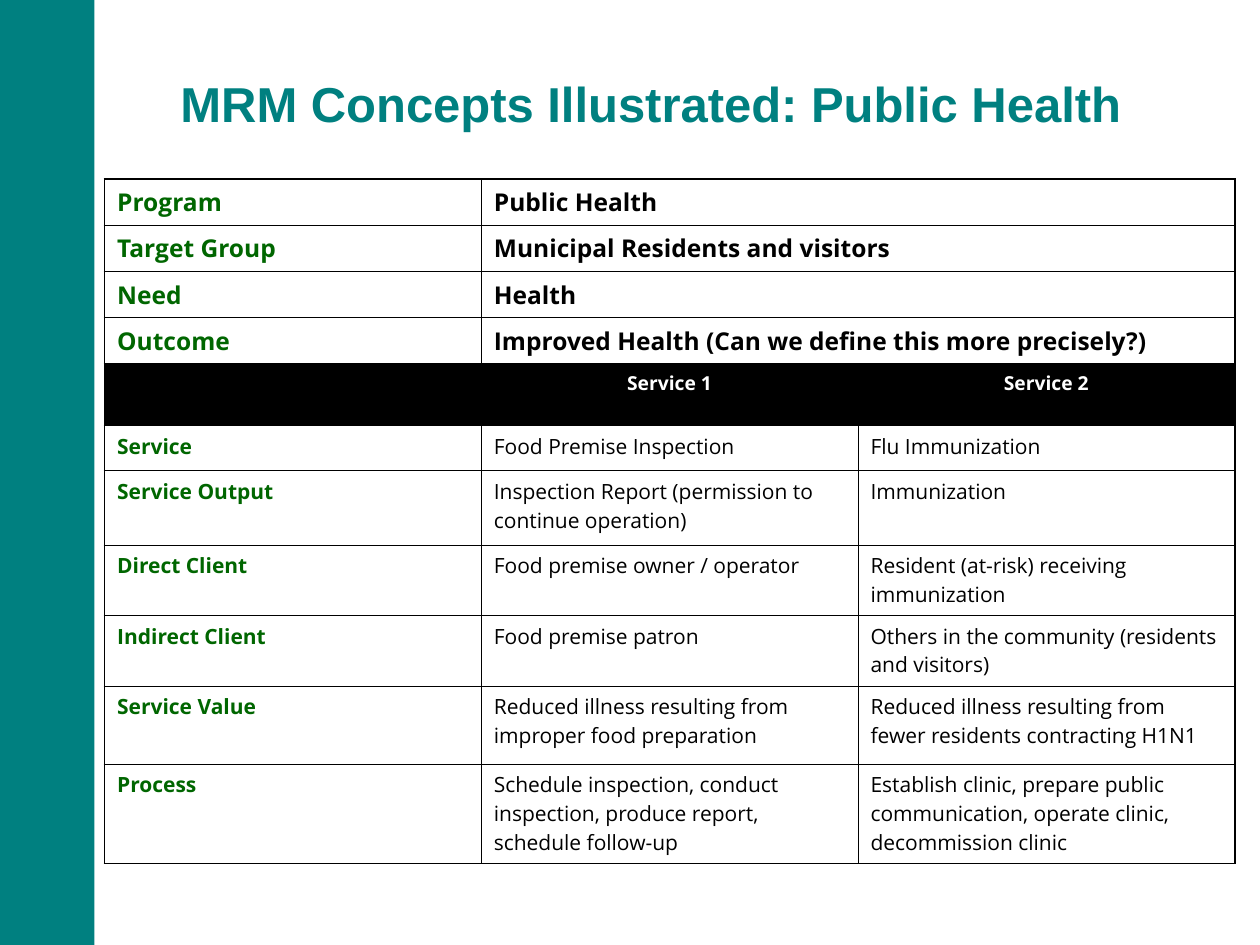
import pptx
import pptx.dml.color
import pptx.enum.shapes
import pptx.enum.text
import pptx.oxml
import pptx.oxml.ns
import pptx.util

Inches = pptx.util.Inches
Pt = pptx.util.Pt
RGBColor = pptx.dml.color.RGBColor
PP_ALIGN = pptx.enum.text.PP_ALIGN

TEAL = RGBColor(0x00, 0x80, 0x80)
GREEN = RGBColor(0x00, 0x66, 0x00)
BLACK = RGBColor(0x00, 0x00, 0x00)
WHITE = RGBColor(0xFF, 0xFF, 0xFF)

THIN, THICK = Pt(0.45), Pt(1.08)
HEADER_ROW = 4
ROW_HEIGHTS = [0.36, 0.37, 0.36, 0.34, 0.49, 0.36, 0.59, 0.56, 0.56, 0.62, 0.79]
ROWS = [
    ["Program", "Public Health"],
    ["Target Group", "Municipal Residents and visitors"],
    ["Need", "Health"],
    ["Outcome", "Improved Health (Can we define this more precisely?)"],
    ["", "Service 1", "Service 2"],
    ["Service", "Food Premise Inspection", "Flu Immunization"],
    ["Service Output", "Inspection Report (permission to continue operation)",
     "Immunization"],
    ["Direct Client", "Food premise owner / operator",
     "Resident (at-risk) receiving immunization"],
    ["Indirect Client", "Food premise patron",
     "Others in the community (residents and visitors)"],
    ["Service Value", "Reduced illness resulting from improper food preparation",
     "Reduced illness resulting from fewer residents contracting H1N1"],
    ["Process",
     "Schedule inspection, conduct inspection, produce report, schedule follow-up",
     "Establish clinic, prepare public communication, operate clinic, "
     "decommission clinic"],
]


def format_run(r, font, size, color, bold):
    r.font.name = font
    r.font.size = Pt(size)
    r.font.color.rgb = color
    r.font.bold = bold


def add_side_band(s, left, top, width, height):
    sp = s.shapes.add_shape(pptx.enum.shapes.MSO_SHAPE.RECTANGLE,
                            left, top, width, height)
    sp.shadow.inherit = False
    sp.fill.solid()
    sp.fill.fore_color.rgb = TEAL
    sp.line.fill.background()


def add_title(s, left, top, width, height):
    sp = s.shapes.title
    sp.left, sp.top, sp.width, sp.height = left, top, width, height
    sp.fill.solid()
    sp.fill.fore_color.rgb = WHITE
    tf = sp.text_frame
    tf.text = "MRM Concepts Illustrated: Public Health"
    tf.word_wrap = True
    tf.auto_size = pptx.enum.text.MSO_AUTO_SIZE.NONE
    tf.vertical_anchor = pptx.enum.text.MSO_ANCHOR.MIDDLE
    p = tf.paragraphs[0]
    p.alignment = PP_ALIGN.CENTER
    p.line_spacing = 0.9
    p.space_before = Pt(7)
    format_run(p.runs[0], "Arial", 28, TEAL, True)


def set_borders(cell, widths):
    tcPr = cell._tc.get_or_add_tcPr()
    for i, (side, width) in enumerate(widths.items()):
        ln = pptx.oxml.parse_xml(
            f'<a:{side} {pptx.oxml.ns.nsdecls("a")} w="{width}"><a:solidFill>'
            f'<a:srgbClr val="{BLACK}"/></a:solidFill></a:{side}>')
        tcPr.insert(i, ln)


def format_cell(cell, row, col):
    is_summary, is_header = row < HEADER_ROW, row == HEADER_ROW
    if is_header:
        cell.fill.solid()
        cell.fill.fore_color.rgb = BLACK
        size, spacing, color = 11, 3.4, WHITE
    else:
        cell.fill.background()
        size, spacing = (14, 4.4) if is_summary else (12, 3.7)
        color = GREEN if col == 0 else BLACK
    p = cell.text_frame.paragraphs[0]
    p.alignment = PP_ALIGN.CENTER if is_header else PP_ALIGN.LEFT
    p.space_before = p.space_after = Pt(spacing)
    for r in p.runs:
        format_run(r, "Open Sans", size, color, is_summary or is_header or col == 0)


def add_concept_table(s, left, top, width, height):
    last_row, last_col = len(ROWS) - 1, 2
    table = s.shapes.add_table(len(ROWS), 3, left, top, width, height).table
    table.first_row = table.horz_banding = False
    for column in table.columns:
        column.width = width // 3
    for row, texts in enumerate(ROWS):
        table.rows[row].height = Inches(ROW_HEIGHTS[row])
        if len(texts) == 2:
            table.cell(row, 1).merge(table.cell(row, 2))
        for col, text in enumerate(texts):
            cell = table.cell(row, col)
            cell.text_frame.text = text
            format_cell(cell, row, col)
        for col in range(3):
            right_edge = col + table.cell(row, col).span_width - 1
            set_borders(table.cell(row, col), {
                "lnL": THICK if col == 0 else THIN,
                "lnR": THICK if max(col, right_edge) == last_col else THIN,
                "lnT": THICK if row == 0 else THIN,
                "lnB": THICK if row == last_row else THIN,
            })


def main():
    prs = pptx.Presentation()
    prs.slide_width, prs.slide_height = Inches(10), Inches(7.5)
    s = prs.slides.add_slide(prs.slide_layouts[5])
    add_side_band(s, 0, 0, Inches(0.75), prs.slide_height)
    add_title(s, Inches(0.83), Inches(0.58), Inches(8.67), Inches(0.54))
    add_concept_table(s, Inches(0.83), Inches(1.42), Inches(8.97),
                      Inches(sum(ROW_HEIGHTS)))
    prs.save("out.pptx")


if __name__ == "__main__":
    main()
